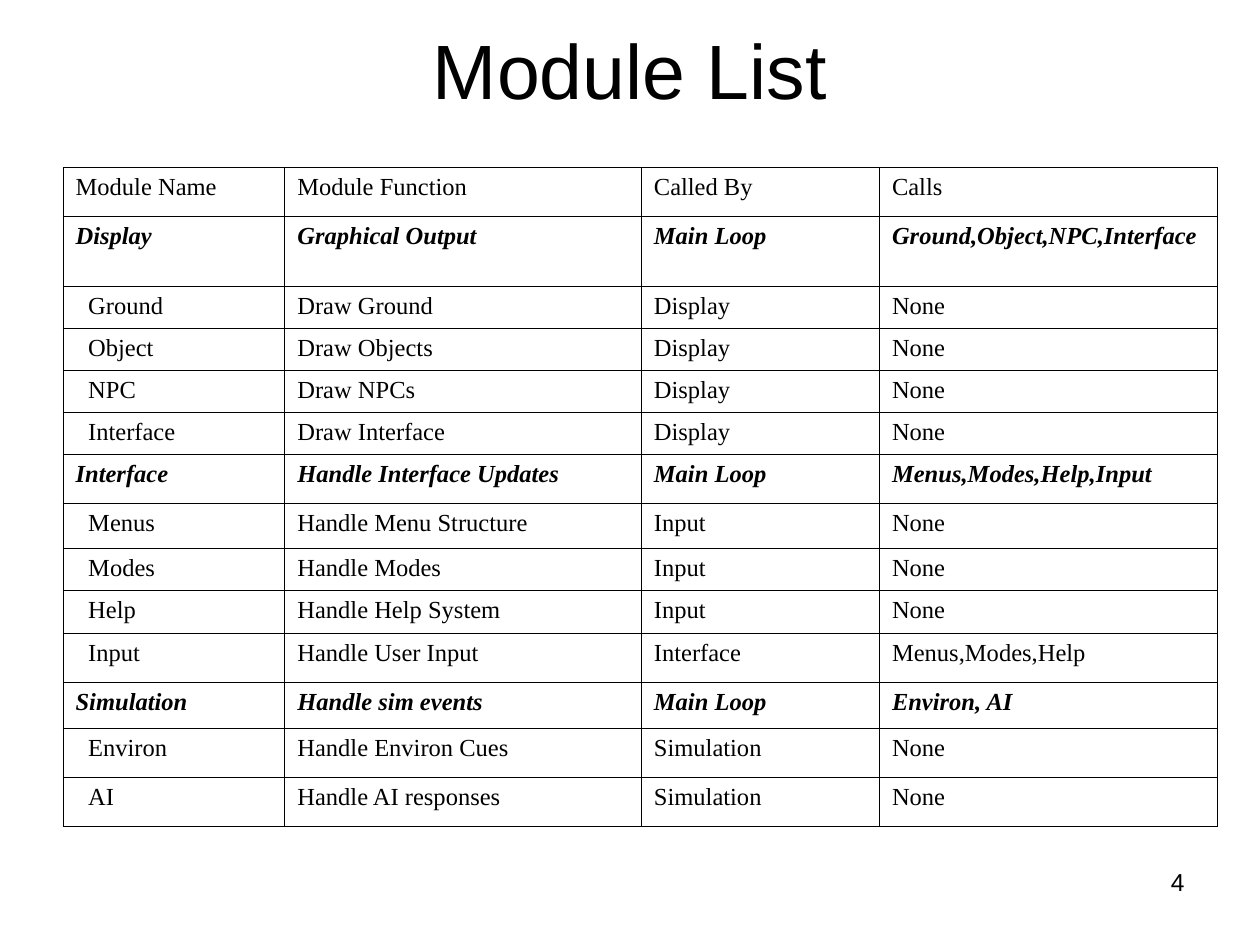
from lxml import etree
from pptx import Presentation
from pptx.dml.color import RGBColor
from pptx.enum.text import MSO_ANCHOR as Anchor, PP_ALIGN as Align
from pptx.oxml.ns import qn
from pptx.util import Inches, Pt

BLACK = RGBColor(0x00, 0x00, 0x00)
MODULES = [
    # height, name, function, called by, calls
    (0.39, "Module Name", "Module Function", "Called By", "Calls"),
    (0.55, "Display", "Graphical Output", "Main Loop", "Ground,Object,NPC,Interface"),
    (0.33, "Ground", "Draw Ground", "Display", "None"),
    (0.33, "Object", "Draw Objects", "Display", "None"),
    (0.33, "NPC", "Draw NPCs", "Display", "None"),
    (0.33, "Interface", "Draw Interface", "Display", "None"),
    (0.39, "Interface", "Handle Interface Updates", "Main Loop", "Menus,Modes,Help,Input"),
    (0.36, "Menus", "Handle Menu Structure", "Input", "None"),
    (0.33, "Modes", "Handle Modes", "Input", "None"),
    (0.34, "Help", "Handle Help System", "Input", "None"),
    (0.39, "Input", "Handle User Input", "Interface", "Menus,Modes,Help"),
    (0.36, "Simulation", "Handle sim events", "Main Loop", "Environ, AI"),
    (0.39, "Environ", "Handle Environ Cues", "Simulation", "None"),
    (0.39, "AI", "Handle AI responses", "Simulation", "None"),
]
COLUMN_WIDTHS = [1.76, 2.83, 1.89, 2.68]


def write(frame, text, font="Arial", size=14, align=Align.LEFT, emphasis=False):
    """Fill a text frame with one paragraph; emphasis means bold italic."""
    frame.word_wrap = True
    paragraph = frame.paragraphs[0]
    paragraph.alignment = align
    run = paragraph.add_run()
    run.text = text
    run.font.name = font
    run.font.size = Pt(size)
    run.font.bold = run.font.italic = emphasis
    run.font.color.rgb = BLACK


def add_borders(cell):
    properties = cell._tc.get_or_add_tcPr()
    for side in ("a:lnL", "a:lnR", "a:lnT", "a:lnB"):
        line = etree.SubElement(properties, qn(side), w=str(Pt(0.45)))
        fill = etree.SubElement(line, qn("a:solidFill"))
        etree.SubElement(fill, qn("a:srgbClr"), val=str(BLACK))


prs = Presentation()
prs.slide_width, prs.slide_height = Inches(10), Inches(7.5)
slide = prs.slides.add_slide(prs.slide_layouts[6])

title = slide.shapes.add_textbox(Inches(0.5), Inches(-0.08), Inches(9), Inches(1.25))
title.text_frame.vertical_anchor = Anchor.MIDDLE
write(title.text_frame, "Module List", size=44, align=Align.CENTER)

module_table = slide.shapes.add_table(
    len(MODULES), len(COLUMN_WIDTHS),
    Inches(0.5), Inches(1.33), Inches(9.16), Inches(5.21)).table
module_table.first_row = module_table.horz_banding = False
for column, width in zip(module_table.columns, COLUMN_WIDTHS):
    column.width = Inches(width)

for row_index, (height, *entries) in enumerate(MODULES):
    module_table.rows[row_index].height = Inches(height)
    is_header = row_index == 0
    is_main = entries[2] == "Main Loop"
    for column_index, entry in enumerate(entries):
        cell = module_table.cell(row_index, column_index)
        is_submodule_name = column_index == 0 and not (is_header or is_main)
        cell.margin_left = Inches(0.2 if is_submodule_name else 0.1)
        add_borders(cell)
        cell.fill.background()
        write(cell.text_frame, entry, font="Times New Roman", emphasis=is_main,
              align=Align.JUSTIFY if is_header else Align.LEFT)

page_number = slide.shapes.add_textbox(Inches(7.17), Inches(6.83), Inches(2.33), Inches(0.52))
write(page_number.text_frame, "4", align=Align.RIGHT)

prs.save("out.pptx")
